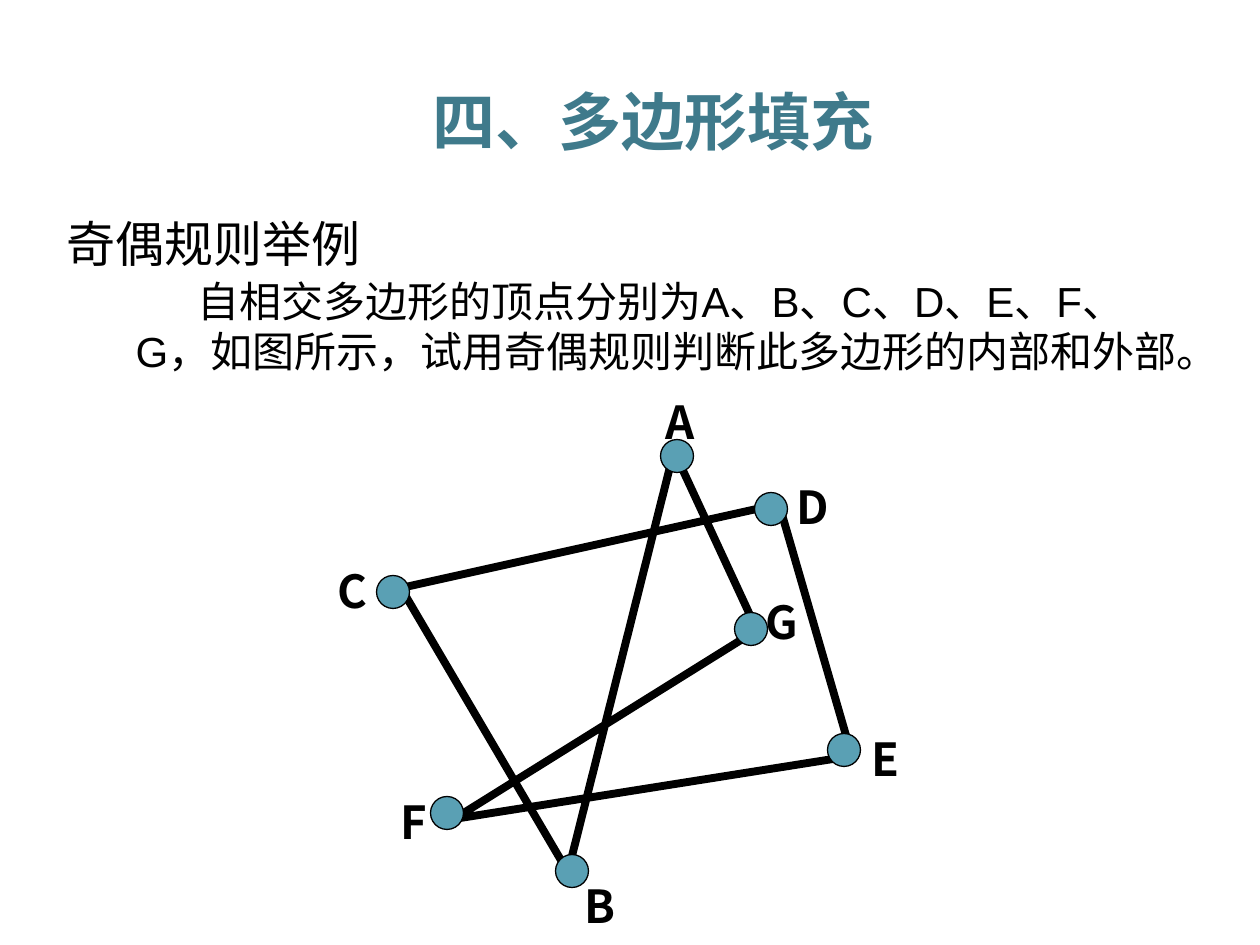
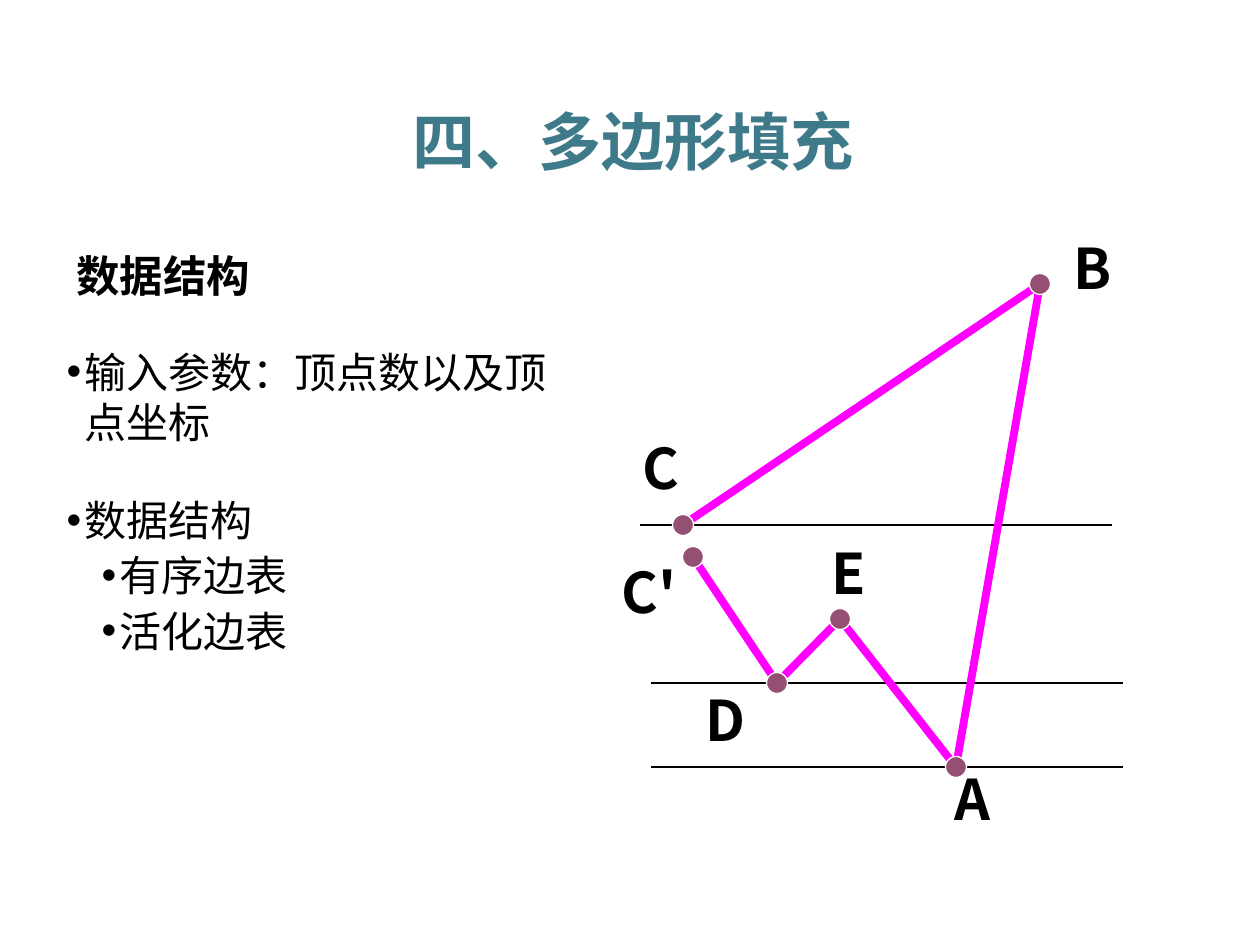
from lxml.etree import SubElement
from pptx import Presentation
from pptx.dml.color import RGBColor
from pptx.enum.shapes import MSO_CONNECTOR, MSO_SHAPE
from pptx.enum.text import MSO_ANCHOR as ANCHOR, MSO_AUTO_SIZE as FIT, PP_ALIGN as ALIGN
from pptx.oxml.ns import qn
from pptx.util import Pt

PX = 914400 / 126
BLACK, WHITE = "000000", "FFFFFF"
TEAL, LIGHT_TEAL = "3F7A8B", "5AA0B4"
MAGENTA, PLUM = "FF00FF", "954F72"
LATIN, CJK = "Arial", "Noto Sans CJK SC"
CHAPTER = "四、多边形填充"

PARITY = {
    "chapter": (64, 76, 1177, 89),
    "title": ("奇偶规则举例", (54, 201, 559, 83), 28, False),
    "body_box": (123, 269, 1071, 135),
    "body": [
        ("自相交多边形的顶点分别为A、B、C、D、E、F、G，如图所示，试用奇偶规则判断此多边形的内部和外部。",
         0, 0, 62, False, 0),
    ],
    "scan_lines": [],
    "corners": [(674, 451), (568, 872), (401, 588), (779, 504),
                (852, 756), (454, 819), (757, 630)],
    "closed": True,
    "edge": BLACK,
    "dots": [(677, 456), (572, 871), (393, 592), (771, 509),
             (844, 750), (447, 813), (751, 629)],
    "dot_style": (33, LIGHT_TEAL, BLACK),
    "labels": [("A", 653, 388), ("B", 572, 872), ("C", 325, 557), ("D", 784, 473),
               ("E", 859, 725), ("F", 388, 788), ("G", 753, 588)],
    "label_style": (48, 67, 26),
}

EDGE_CORNERS = [(683, 525), (1040, 284), (956, 767), (840, 619), (777, 683), (693, 557)]
EDGE_TABLES = {
    "chapter": (44, 96, 1177, 89),
    "title": ("数据结构", (64, 237, 1043, 76), 24.8, True),
    "body_box": (54, 340, 533, 386),
    "body": [
        ("输入参数：顶点数以及顶点坐标", 0, 18, -18, True, 0),
        ("数据结构", 0, 18, -18, True, 27),
        ("有序边表", 1, 53, -18, True, 2.8),
        ("活化边表", 1, 53, -18, True, 2.8),
    ],
    "scan_lines": [(640, 525), (651, 683), (651, 767)],
    "corners": EDGE_CORNERS,
    "closed": False,
    "edge": MAGENTA,
    "dots": EDGE_CORNERS,
    "dot_style": (21, PLUM, WHITE),
    "labels": [("B", 1061, 228), ("A", 942, 759), ("C", 630, 428),
               ("C'", 609, 552), ("D", 693, 680), ("E", 819, 533)],
    "label_style": (53, 79, 32),
}
SCAN_LENGTH = 472


def emu(*lengths):
    return [round(length * PX) for length in lengths]


def rgb(value):
    return RGBColor.from_string(value)


def style(paragraph, size, color=BLACK, bold=False, latin=LATIN):
    font = paragraph.font
    font.size, font.bold, font.name = Pt(size), bold, latin
    font.color.rgb = rgb(color)
    defaults = paragraph._p.pPr.find(qn("a:defRPr"))
    SubElement(defaults, qn("a:ea")).set("typeface", CJK)


def setup(frame, anchor, wrap=True):
    frame.word_wrap = wrap
    frame.auto_size = FIT.NONE
    frame.vertical_anchor = anchor
    return frame


def move(shape, box):
    shape.left, shape.top, shape.width, shape.height = emu(*box)


def add_text(slide, text, box, size, color=BLACK, align=ALIGN.LEFT, wrap=True):
    frame = setup(slide.shapes.add_textbox(*emu(*box)).text_frame, ANCHOR.MIDDLE, wrap)
    frame.text = text
    paragraph = frame.paragraphs[0]
    paragraph.alignment = align
    style(paragraph, size, color, True, CJK)


def fill_title(slide, text, box, size, bold):
    title = slide.shapes.title
    move(title, box)
    setup(title.text_frame, ANCHOR.MIDDLE).text = text
    paragraph = title.text_frame.paragraphs[0]
    paragraph.alignment = ALIGN.LEFT
    style(paragraph, size, bold=bold)


def fill_body(slide, box, items):
    body = slide.placeholders[1]
    move(body, box)
    frame = setup(body.text_frame, ANCHOR.TOP)
    frame.text = "\n".join(item[0] for item in items)
    for paragraph, (_, level, margin, indent, bullet, before) in zip(frame.paragraphs, items):
        paragraph.level = level
        paragraph.line_spacing = 1.0
        paragraph.space_before = Pt(before)
        props = paragraph._p.get_or_add_pPr()
        props.set("marL", str(emu(margin)[0]))
        props.set("indent", str(emu(indent)[0]))
        if bullet:
            SubElement(props, qn("a:buFont")).set("typeface", LATIN)
            SubElement(props, qn("a:buChar")).set("char", "•")
        else:
            SubElement(props, qn("a:buNone"))
        style(paragraph, 24)


def draw_scan_line(slide, x, y):
    line = slide.shapes.add_connector(
        MSO_CONNECTOR.STRAIGHT, *emu(x, y, x + SCAN_LENGTH, y))
    line.line.color.rgb = rgb(BLACK)
    line.line.width = Pt(0.75)
    SubElement(line._element.spPr, qn("a:effectLst"))


def draw_polygon(slide, corners, closed, color):
    builder = slide.shapes.build_freeform(*corners[0], scale=PX)
    builder.add_line_segments(corners[1:], close=closed)
    polygon = builder.convert_to_shape()
    polygon.shadow.inherit = False
    polygon.fill.background()
    polygon.line.color.rgb = rgb(color)
    polygon.line.width = Pt(4.5)


def draw_dot(slide, x, y, size, fill, outline):
    dot = slide.shapes.add_shape(
        MSO_SHAPE.OVAL, *emu(x - size / 2, y - size / 2, size, size))
    dot.shadow.inherit = False
    dot.fill.solid()
    dot.fill.fore_color.rgb = rgb(fill)
    dot.line.color.rgb = rgb(outline)
    dot.line.width = Pt(0.75)


def build_slide(deck, content):
    slide = deck.slides.add_slide(deck.slide_layouts[1])
    fill_title(slide, *content["title"])
    fill_body(slide, content["body_box"], content["body"])
    for start in content["scan_lines"]:
        draw_scan_line(slide, *start)
    draw_polygon(slide, content["corners"], content["closed"], content["edge"])
    width, height, size = content["label_style"]
    for letter, x, y in content["labels"]:
        label_width = width if len(letter) == 1 else 82
        add_text(slide, letter, (x, y, label_width, height), size, wrap=False)
    for center in content["dots"]:
        draw_dot(slide, *center, *content["dot_style"])
    add_text(slide, CHAPTER, content["chapter"], 36, TEAL, ALIGN.CENTER)


def main():
    deck = Presentation()
    deck.slide_width, deck.slide_height = emu(1260, 945)
    for content in (PARITY, EDGE_TABLES):
        build_slide(deck, content)
    deck.save("out.pptx")


if __name__ == "__main__":
    main()
